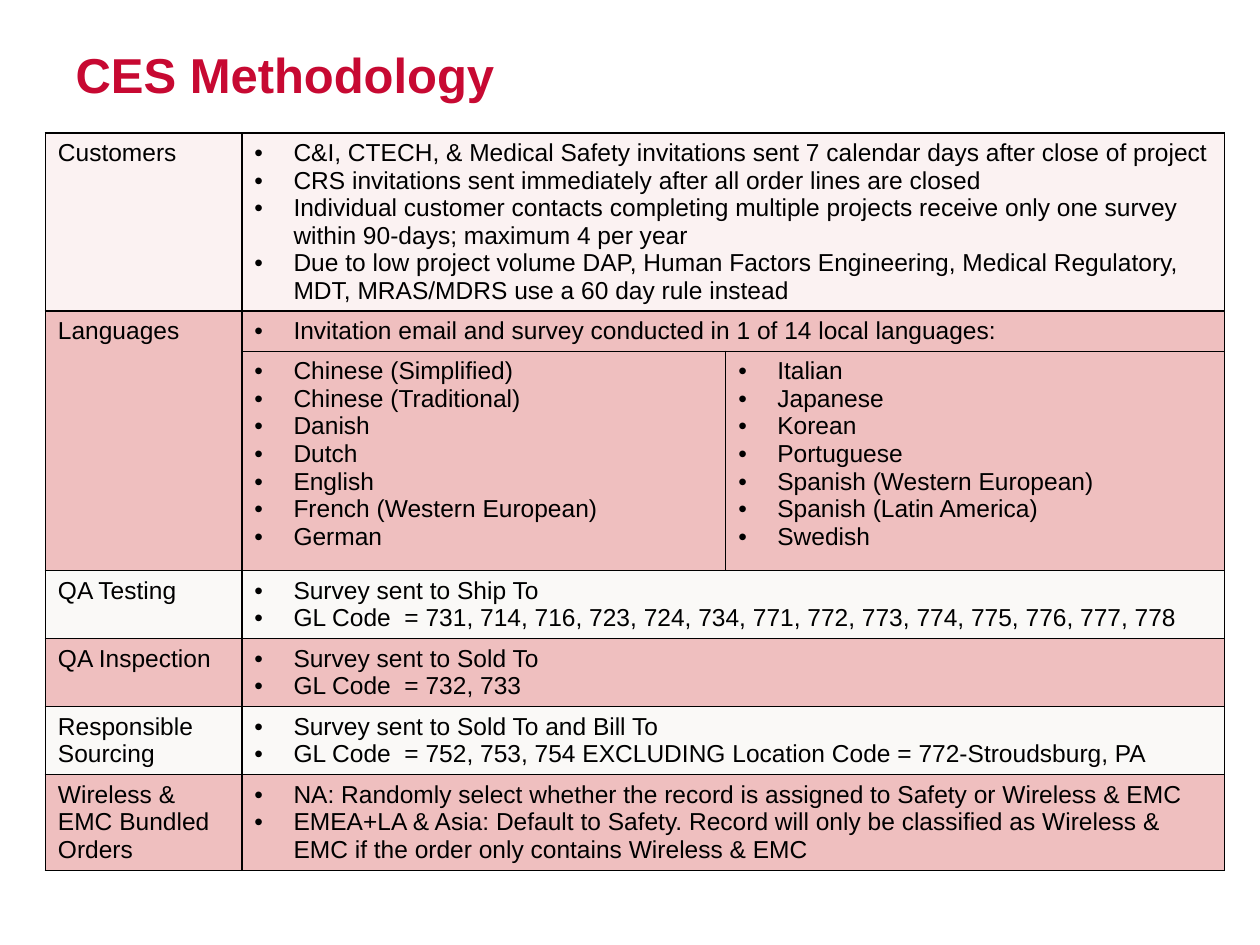
from lxml.etree import SubElement
from pptx import Presentation
from pptx.dml.color import RGBColor
from pptx.enum.text import MSO_ANCHOR, PP_ALIGN
from pptx.oxml.ns import qn
from pptx.util import Inches, Pt

TOP, LEFT = MSO_ANCHOR.TOP, PP_ALIGN.LEFT
WIDE, HIGH = Inches(10), Inches(7.5)
INDENT = Inches(0.31)
COLORS = {"title": "C70932", "text": "000000", "edge": "000000",
          "red": "C00000", "sand": "EDE9E2"}
HEAD = {"name": "Arial", "size": Pt(28), "bold": True}
BODY = {"name": "Arial", "size": Pt(14), "bold": False}
COLS = [1.56, 3.84, 3.96]
PALE, ROSE, SAND = ("red", 5), ("red", 25), ("sand", 25)

# Each row: height, tint, label, then one list of bullets per column
ROWS = [
    (1.41, PALE, "Customers", [
        "C&I, CTECH, & Medical Safety invitations sent 7 calendar days after close of project",
        "CRS invitations sent immediately after all order lines are closed",
        "Individual customer contacts completing multiple projects receive only one survey "
        "within 90-days; maximum 4 per year",
        "Due to low project volume DAP, Human Factors Engineering, Medical Regulatory, "
        "MDT, MRAS/MDRS use a 60 day rule instead"]),
    (0.32, ROSE, "Languages", [
        "Invitation email and survey conducted in 1 of 14 local languages:"]),
    (1.74, ROSE, "", [
        "Chinese (Simplified)", "Chinese (Traditional)", "Danish", "Dutch",
        "English", "French (Western European)", "German"], [
        "Italian", "Japanese", "Korean", "Portuguese",
        "Spanish (Western European)", "Spanish (Latin America)", "Swedish"]),
    (0.54, SAND, "QA Testing", [
        "Survey sent to Ship To",
        "GL Code  = 731, 714, 716, 723, 724, 734, 771, 772, 773, 774, 775, 776, 777, 778"]),
    (0.54, ROSE, "QA Inspection", [
        "Survey sent to Sold To", "GL Code  = 732, 733"]),
    (0.54, SAND, "Responsible Sourcing", [
        "Survey sent to Sold To and Bill To",
        "GL Code  = 752, 753, 754 EXCLUDING Location Code = 772-Stroudsburg, PA"]),
    (0.76, ROSE, "Wireless & EMC Bundled Orders", [
        "NA: Randomly select whether the record is assigned to Safety or Wireless & EMC",
        "EMEA+LA & Asia: Default to Safety. Record will only be classified as Wireless & "
        "EMC if the order only contains Wireless & EMC"]),
]


def area(left, top, width, height):
    """Turn shares of the slide's size into a box."""
    return [round(n) for n in (left * WIDE, top * HIGH, width * WIDE, height * HIGH)]


def style(font, look, color):
    """Set a font from a dict of format values."""
    for key, value in look.items():
        setattr(font, key, value)
    font.color.rgb = RGBColor.from_string(COLORS[color])


def write(cell, lines, dots):
    """Write one paragraph for each line, with bullets if asked."""
    frame = cell.text_frame
    for i, line in enumerate(lines):
        para = frame.add_paragraph() if i else frame.paragraphs[0]
        if dots:
            props = para._p.get_or_add_pPr()
            props.set("marL", str(INDENT))
            props.set("indent", str(-INDENT))
            SubElement(props, qn("a:buFont"), typeface="Arial")
            SubElement(props, qn("a:buChar"), char="•")
        run = para.add_run()
        run.text = line
        style(run.font, BODY, "text")


def paint(cell, tint):
    """Give a cell black edges and a see-through fill."""
    props = cell._tc.get_or_add_tcPr()
    for side in "LRTB":
        line = SubElement(props, qn(f"a:ln{side}"), w=str(Pt(1)))
        SubElement(SubElement(line, qn("a:solidFill")), qn("a:srgbClr"), val=COLORS["edge"])
    color, share = tint
    cell.fill.solid()
    cell.fill.fore_color.rgb = RGBColor.from_string(COLORS[color])
    shade = props.find(qn("a:solidFill")).find(qn("a:srgbClr"))
    SubElement(shade, qn("a:alpha"), val=str(share * 1000))


def add_title(slide, box):
    """Place and format the title."""
    title = slide.shapes.title
    title.left, title.top, title.width, title.height = box
    frame = title.text_frame
    frame.text = "CES Methodology"
    frame.vertical_anchor = TOP
    para = frame.paragraphs[0]
    para.alignment = LEFT
    style(para.runs[0].font, HEAD, "title")


def add_grid(slide, box):
    """Place the table of survey rules in its box."""
    table = slide.shapes.add_table(len(ROWS), len(COLS), *box).table
    table.first_row = table.horz_banding = False
    for col, part in zip(table.columns, COLS):
        col.width = round(box[2] * part / sum(COLS))
    total = sum(row[0] for row in ROWS)
    for r, (part, tint, label, *lists) in enumerate(ROWS):
        table.rows[r].height = round(box[3] * part / total)
        for c in range(len(COLS)):
            paint(table.cell(r, c), tint)
        if label:
            write(table.cell(r, 0), [label], False)
        else:
            table.cell(r - 1, 0).merge(table.cell(r, 0))
        for c, lines in enumerate(lists, 1):
            write(table.cell(r, c), lines, True)
        if len(lists) == 1:
            table.cell(r, 1).merge(table.cell(r, 2))


def main():
    """Build the slide and save it."""
    deck = Presentation()
    deck.slide_width, deck.slide_height = WIDE, HIGH
    slide = deck.slides.add_slide(deck.slide_layouts[5])
    add_title(slide, area(0.05, 0.04, 0.9, 0.17))
    add_grid(slide, area(0.036, 0.141, 0.936, 0.78))
    deck.save("out.pptx")


if __name__ == "__main__":
    main()
